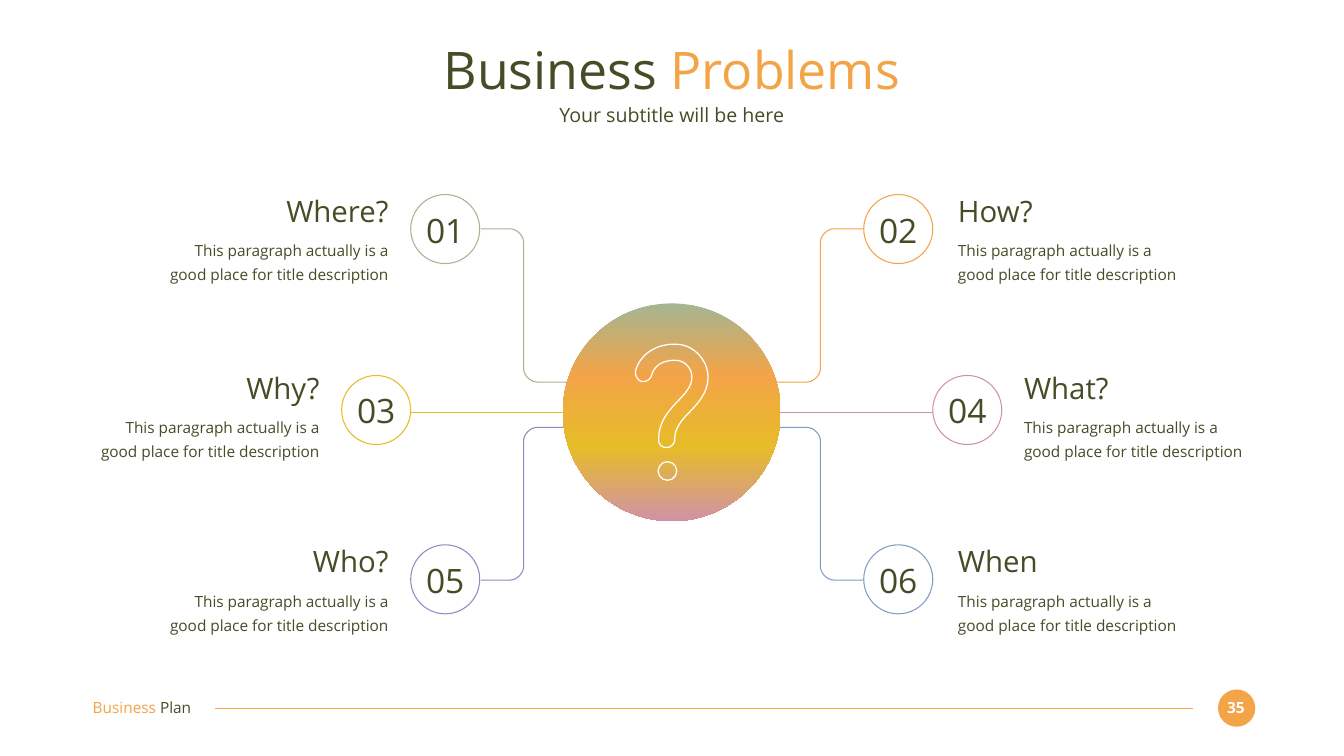
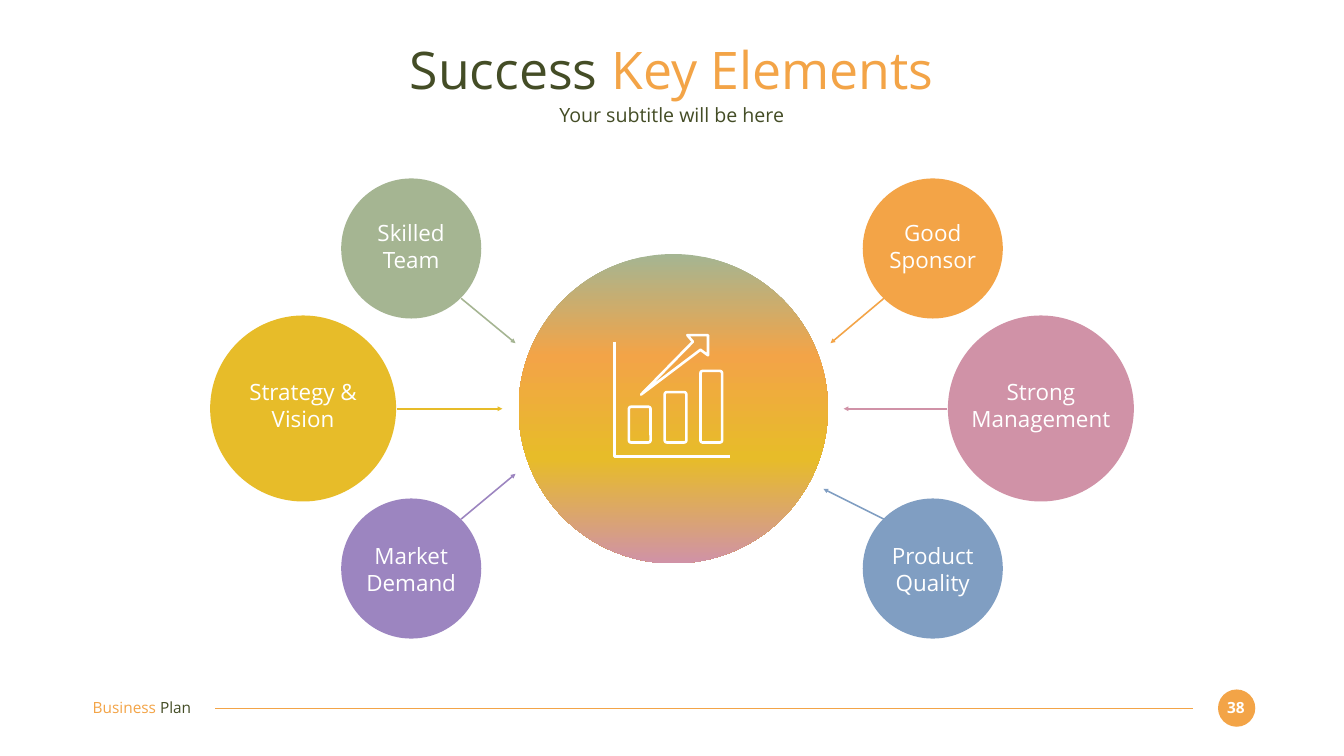
from lxml import etree
from pptx import Presentation
from pptx.dml.color import RGBColor
from pptx.enum.shapes import MSO_CONNECTOR as Connector, MSO_SHAPE as Shape
from pptx.enum.text import MSO_ANCHOR as Anchor, PP_ALIGN as Align
from pptx.oxml.ns import qn
from pptx.util import Emu, Inches, Pt

COLUMNS, ROWS = 26.67, 15
CELL = Inches(1)
FONT = "Open Sans"
DARK, WHITE = "444D26", "FFFFFF"
GREEN, ORANGE, YELLOW = "A5B592", "F3A447", "E7BC29"
PINK, PURPLE, BLUE = "D092A7", "9C85C0", "809EC2"
GRADIENT = [(0, GREEN), (33, ORANGE), (66, YELLOW), (100, PINK)]
DESCRIPTION = "This paragraph actually is a good place for title description"

QUESTION_START = (13.43, 6.83)
QUESTION_CURVES = [
    [(13.12, 6.81), (12.72, 6.96), (12.61, 7.36)],
    [(12.6, 7.45), (12.65, 7.54), (12.73, 7.57)],
    [(12.79, 7.58), (12.9, 7.55), (12.93, 7.45)],
    [(12.98, 7.23), (13.2, 7.14), (13.41, 7.15)],
    [(13.58, 7.15), (13.73, 7.3), (13.73, 7.48)],
    [(13.73, 7.65), (13.63, 7.77), (13.46, 7.95)],
    [(13.28, 8.14), (13.07, 8.36), (13.07, 8.71)],
    [(13.06, 8.82), (13.14, 8.88), (13.23, 8.88)],
    [(13.32, 8.88), (13.39, 8.8), (13.39, 8.71)],
    [(13.39, 8.49), (13.53, 8.33), (13.69, 8.17)],
    [(13.86, 7.99), (14.05, 7.79), (14.05, 7.48)],
    [(14.05, 7.15), (13.77, 6.84), (13.43, 6.83)],
]


def color(value):
    return RGBColor.from_string(value)


def cells(*counts):
    return [Emu(round(count * CELL)) for count in counts]


def mirror(x):
    return COLUMNS - x


def style_shape(shape, fill=None, line=None, weight=1.5):
    shape.shadow.inherit = False
    if fill:
        shape.fill.solid()
        shape.fill.fore_color.rgb = color(fill)
    else:
        shape.fill.background()
    if line:
        shape.line.color.rgb = color(line)
        shape.line.width = Pt(weight)
    else:
        shape.line.fill.background()


def add_preset(slide, preset, box, **style):
    shape = slide.shapes.add_shape(preset, *cells(*box))
    style_shape(shape, **style)
    return shape


def add_circle(slide, left, top, size, **style):
    return add_preset(slide, Shape.OVAL, (left, top, size, size), **style)


def add_gradient_circle(slide, left, top, size):
    circle = add_circle(slide, left, top, size)
    circle.fill.gradient()
    circle.fill.gradient_angle = 270
    stops = circle._element.spPr.find(".//" + qn("a:gsLst"))
    for stop in list(stops):
        stops.remove(stop)
    for position, value in GRADIENT:
        stop = etree.SubElement(stops, qn("a:gs"), pos=str(position * 1000))
        etree.SubElement(stop, qn("a:srgbClr"), val=value)


def add_outline(slide, points, line, weight=1.5, close=False):
    corners = [cells(*point) for point in points]
    builder = slide.shapes.build_freeform(*corners[0], scale=1.0)
    builder.add_line_segments(corners[1:], close=close)
    style_shape(builder.convert_to_shape(), line=line, weight=weight)


def curve_points(start, first, second, end, steps=10):
    points = []
    for step in range(steps + 1):
        t = step / steps
        weights = ((1 - t) ** 3, 3 * t * (1 - t) ** 2, 3 * t * t * (1 - t), t ** 3)
        points.append(tuple(
            sum(weight * value for weight, value in zip(weights, axis))
            for axis in zip(start, first, second, end)))
    return points


def add_line(slide, start, end, line, weight=1.5, arrow=False):
    connector = slide.shapes.add_connector(
        Connector.STRAIGHT, *cells(*start), *cells(*end))
    connector.line.color.rgb = color(line)
    connector.line.width = Pt(weight)
    if arrow:
        etree.SubElement(connector.line._get_or_add_ln(), qn("a:tailEnd"), type="triangle")
    etree.SubElement(connector._element.spPr, qn("a:effectLst"))


def fill_text(shape, paragraphs, size, align, bold=False, spacing=None):
    frame = shape.text_frame
    frame.word_wrap = True
    frame.vertical_anchor = Anchor.MIDDLE
    frame.margin_left = frame.margin_right = 0
    frame.margin_top = frame.margin_bottom = 0
    for index, runs in enumerate(paragraphs):
        paragraph = frame.add_paragraph() if index else frame.paragraphs[0]
        paragraph.alignment = align
        paragraph.line_spacing = spacing
        paragraph.font.name = FONT
        paragraph.font.size = Pt(size)
        paragraph.font.bold = bold
        for text, value in runs:
            run = paragraph.add_run()
            run.text = text
            run.font.color.rgb = color(value)


def add_text(slide, box, paragraphs, size, align=Align.LEFT, **style):
    fill_text(slide.shapes.add_textbox(*cells(*box)), paragraphs, size, align, **style)


def add_footer(slide, number):
    add_circle(slide, 24.17, 13.68, 0.74, fill=ORANGE)
    add_text(slide, (24.23, 13.85, 0.59, 0.37), [[(str(number), WHITE)]],
             22, Align.CENTER, bold=True)
    add_line(slide, (23.67, 14.05), (4.27, 14.05), ORANGE)
    add_text(slide, (1.84, 13.84, 2.59, 0.37),
             [[("Business ", ORANGE), ("Plan", DARK)]], 22)


def start_slide(presentation, number, dark_words, orange_words):
    slide = presentation.slides.add_slide(presentation.slide_layouts[5])
    slide.background.fill.solid()
    slide.background.fill.fore_color.rgb = color(WHITE)
    add_footer(slide, number)
    title = slide.shapes.title
    title.left, title.top, title.width, title.height = cells(1.83, 0.73, 23, 1.27)
    fill_text(title, [[(dark_words + " ", DARK), (orange_words, ORANGE)]], 74, Align.CENTER)
    add_text(slide, (1.83, 2.03, 23, 0.49),
             [[("Your subtitle will be here", DARK)]], 28, Align.CENTER)
    return slide


def add_elbow(slide, outer_y, inner_y, line, flipped):
    start, spine, end, radius = 9.54, 10.39, 11.39, 0.27
    turn = radius if inner_y > outer_y else -radius
    points = [(start, outer_y)]
    points += curve_points((spine - radius, outer_y), (spine - radius / 2, outer_y),
                           (spine, outer_y + turn / 2), (spine, outer_y + turn))
    points += curve_points((spine, inner_y - turn), (spine, inner_y - turn / 2),
                           (spine + radius / 2, inner_y), (spine + radius, inner_y))
    points.append((end, inner_y))
    if flipped:
        points = [(mirror(x), y) for x, y in points]
    add_outline(slide, points, line)


def add_question(slide, number, heading, circle_at, text_at, line, align):
    left, top = circle_at
    text_left, text_top = text_at
    size, text_width = 1.37, 4.55
    if align == Align.RIGHT:
        text_left -= text_width
    add_circle(slide, left, top, size, line=line)
    add_text(slide, (left + 0.14, top + 0.29, 1.09, 0.81), [[(number, DARK)]],
             48, Align.CENTER)
    add_text(slide, (text_left, text_top, text_width, 0.71), [[(heading, DARK)]], 42, align)
    add_text(slide, (text_left, text_top + 0.85, text_width, 0.96),
             [[(DESCRIPTION, DARK)]], 22, align, spacing=1.3)


def add_question_mark(slide):
    points, start = [], QUESTION_START
    for curve in QUESTION_CURVES:
        points += curve_points(start, *curve)
        start = curve[-1]
    add_outline(slide, points, WHITE, 1.8, close=True)
    add_circle(slide, 13.06, 9.16, 0.37, line=WHITE, weight=1.8)


def add_growth_icon(slide):
    weight, base = 3.7, 8.78
    add_outline(slide, [(12.19, 6.78), (12.19, 9.06), (14.48, 9.06)], WHITE, weight)
    for left, top in ((12.48, 8.07), (13.19, 7.78), (13.9, 7.36)):
        bar = add_preset(slide, Shape.ROUNDED_RECTANGLE, (left, top, 0.43, base - top),
                         line=WHITE, weight=weight)
        bar.adjustments[0] = 0.1
    add_outline(slide, [(12.72, 7.83), (13.75, 6.78), (13.64, 6.65), (14.05, 6.65),
                        (14.05, 7.05), (13.9, 6.94)], WHITE, weight, close=True)


def build_problems(presentation):
    slide = start_slide(presentation, 35, "Business", "Problems")
    add_line(slide, (11.39, 8.18), (8.15, 8.18), YELLOW)
    add_line(slide, (18.51, 8.18), (15.3, 8.18), PINK)
    for outer_y, inner_y, left_line, right_line in (
            (4.54, 7.58, GREEN, ORANGE), (11.51, 8.48, PURPLE, BLUE)):
        add_elbow(slide, outer_y, inner_y, left_line, False)
        add_elbow(slide, outer_y, inner_y, right_line, True)
    rows = [
        (3.86, 3.83, 8.15, 7.71, 17.14, 19.01,
         ("01", "Where?", GREEN), ("02", "How?", ORANGE)),
        (7.45, 7.33, 6.78, 6.34, 18.51, 20.32,
         ("03", "Why?", YELLOW), ("04", "What?", PINK)),
        (10.81, 10.78, 8.15, 7.71, 17.14, 19.01,
         ("05", "Who?", PURPLE), ("06", "When", BLUE)),
    ]
    for circle_y, text_y, left_x, left_text, right_x, right_text, left, right in rows:
        for circle_x, text_x, item, align in (
                (left_x, left_text, left, Align.RIGHT),
                (right_x, right_text, right, Align.LEFT)):
            number, heading, line = item
            add_question(slide, number, heading, (circle_x, circle_y),
                         (text_x, text_y), line, align)
    add_gradient_circle(slide, 11.17, 6.02, 4.32)
    add_question_mark(slide)


def build_success(presentation):
    slide = start_slide(presentation, 38, "Success", "Key Elements")
    small, large = 2.78, 3.69
    rows = [
        (6.77, 3.54, small, 4.34,
         (["Skilled Team"], GREEN, (9.15, 5.92), (10.23, 6.81)),
         (["Good Sponsor"], ORANGE, (17.54, 5.92), (16.48, 6.81))),
        (4.17, 6.26, large, 7.49,
         (["Strategy & Vision"], YELLOW, (7.87, 8.11), (9.97, 8.11)),
         (["Strong", "Management"], PINK, (18.8, 8.11), (16.74, 8.11))),
        (6.77, 9.89, small, 10.75,
         (["Market Demand"], PURPLE, (9.15, 10.3), (10.23, 9.4)),
         (["Product Quality"], BLUE, (17.54, 10.3), (16.34, 9.7))),
    ]
    for left, top, size, label_top, left_item, right_item in rows:
        for circle_x, item in ((left, left_item), (mirror(left + size), right_item)):
            lines, fill, start, end = item
            label_width = 2.91 if len(lines) > 1 else 2.23
            add_circle(slide, circle_x, top, size, fill=fill)
            add_line(slide, start, end, fill, 2.25, arrow=True)
            add_text(slide, (circle_x + (size - label_width) / 2, label_top, label_width, 1.08),
                     [[(line, WHITE)] for line in lines], 32, Align.CENTER)
    add_gradient_circle(slide, 10.29, 5.04, 6.14)
    add_growth_icon(slide)


def main():
    presentation = Presentation()
    presentation.slide_width, presentation.slide_height = cells(COLUMNS, ROWS)
    build_problems(presentation)
    build_success(presentation)
    presentation.save("out.pptx")


if __name__ == "__main__":
    main()
